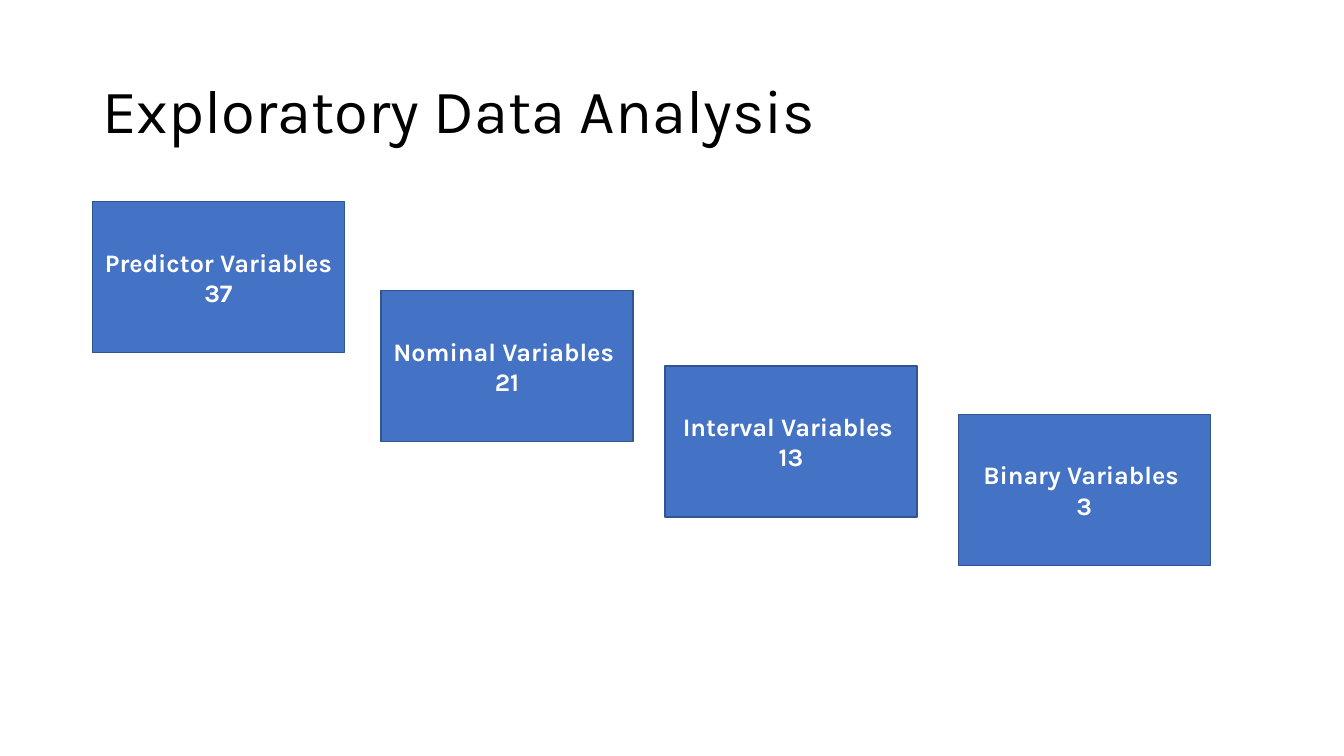
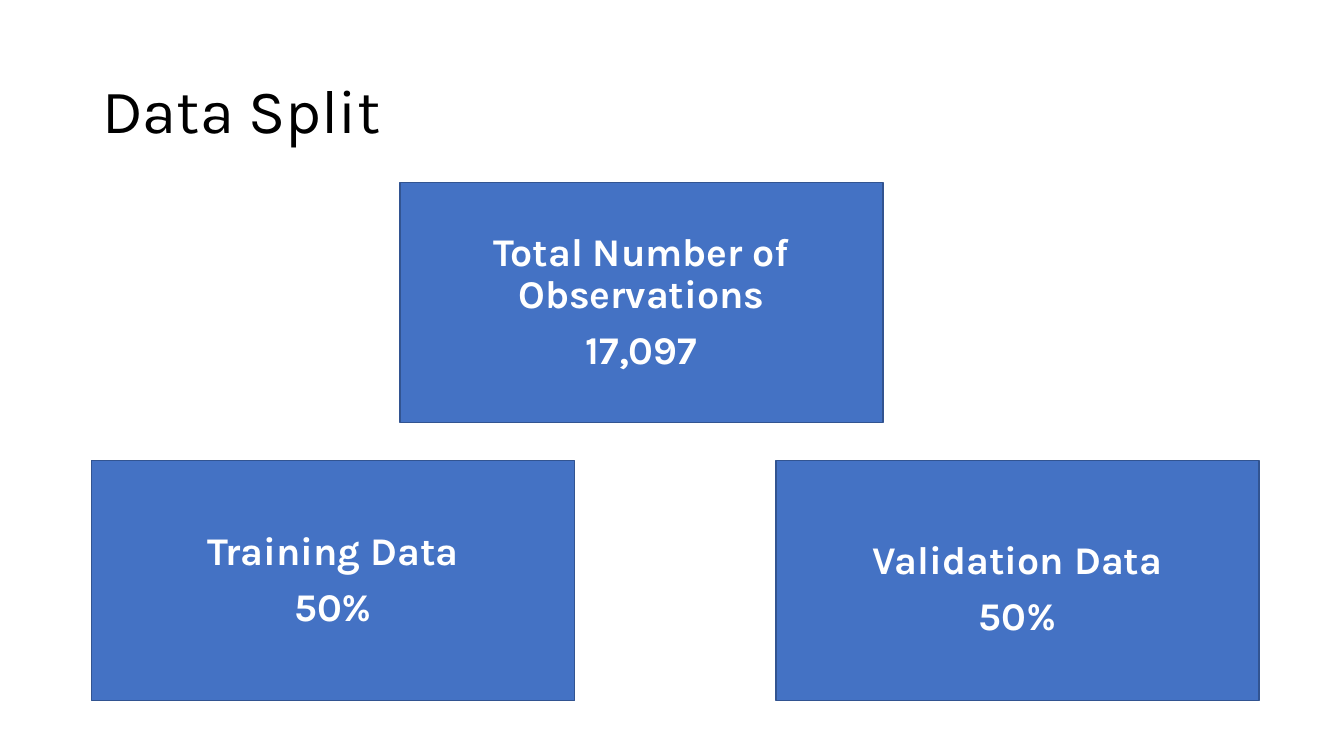
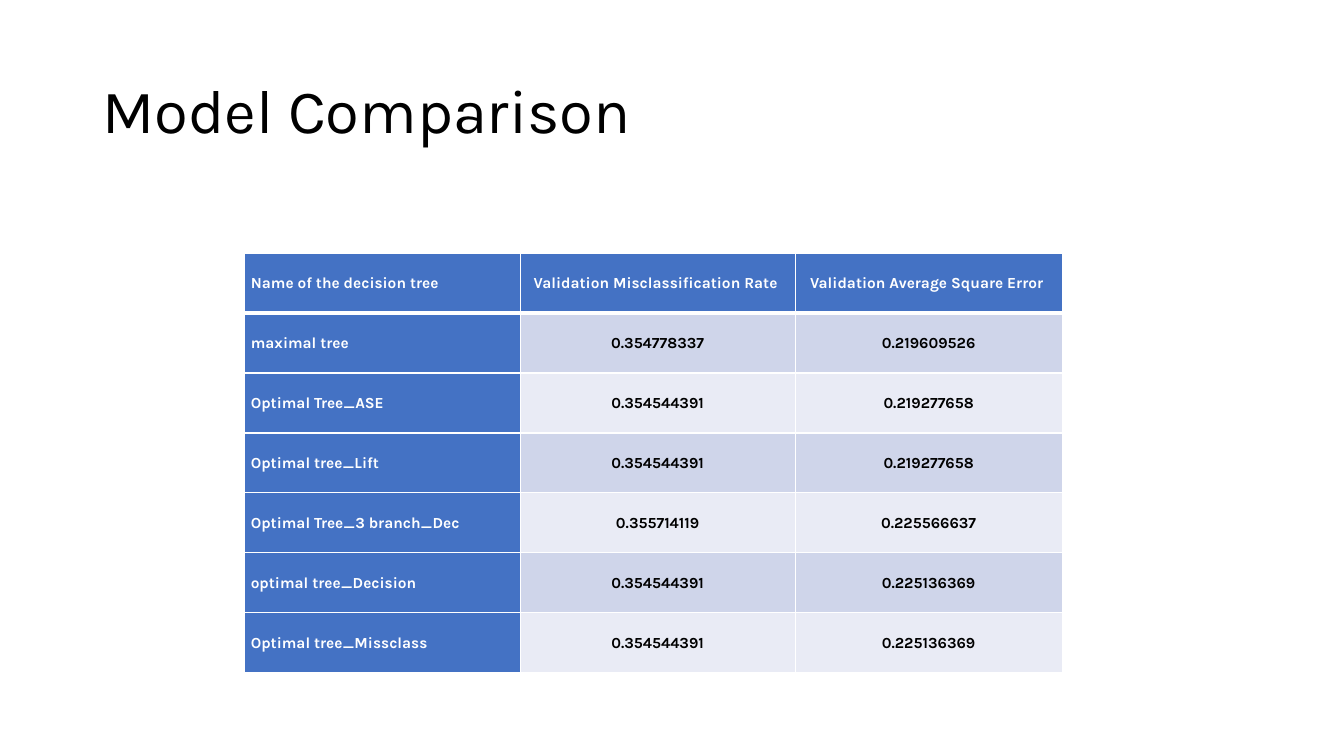
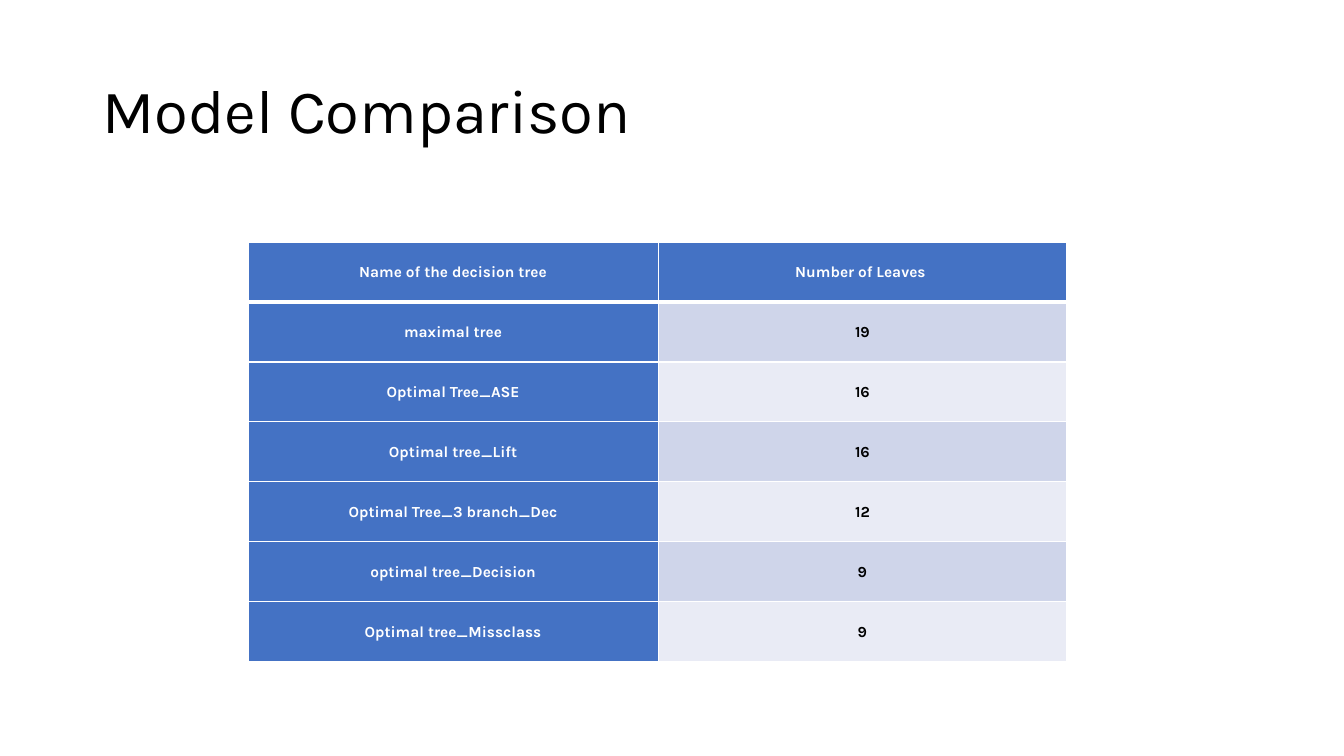
from dataclasses import dataclass

from lxml import etree
from pptx import Presentation
from pptx.dml.color import RGBColor
from pptx.enum.shapes import MSO_SHAPE
from pptx.enum.text import MSO_ANCHOR, PP_ALIGN
from pptx.oxml.ns import qn
from pptx.presentation import Presentation as Deck
from pptx.slide import Slide
from pptx.table import _Cell
from pptx.text.text import TextFrame
from pptx.util import Cm, Pt

RECTANGLE = MSO_SHAPE.RECTANGLE
MIDDLE = MSO_ANCHOR.MIDDLE
LEFT, CENTER = PP_ALIGN.LEFT, PP_ALIGN.CENTER

BLACK = RGBColor(0x00, 0x00, 0x00)
WHITE = RGBColor(0xFF, 0xFF, 0xFF)
BLUE = RGBColor(0x44, 0x72, 0xC4)
DARK_BLUE = RGBColor(0x32, 0x54, 0x91)
BAND_FILLS = (RGBColor(0xCF, 0xD5, 0xEA), RGBColor(0xE9, 0xEB, 0xF5))

FONT = "Karla"
BLANK_LAYOUT = 6
ROW_HEIGHT = 1.51
CELL_MARGIN = 0.17
THIN_BORDER, HEADER_BORDER = 1, 3


@dataclass(frozen=True)
class TextStyle:
    size: int
    color: RGBColor
    bold: bool = True
    alignment: PP_ALIGN = CENTER
    line_spacing: float = 1.0
    space_before: int = 0


@dataclass(frozen=True)
class BoxStyle:
    width: float
    height: float
    text: TextStyle


@dataclass(frozen=True)
class Box:
    """A labelled rectangle; positions are in centimetres."""
    left: float
    top: float
    label: str
    value: str
    top_margin: float = 0.13


@dataclass(frozen=True)
class ComparisonTable:
    """A table with a header row and a name column, in centimetres."""
    left: float
    top: float
    column_widths: tuple[float, ...]
    name_alignment: PP_ALIGN
    header: tuple[str, ...]
    values: tuple[tuple[str, ...], ...]


TITLE_STYLE = TextStyle(44, BLACK, bold=False, alignment=LEFT, line_spacing=0.9)
VARIABLE_STYLE = BoxStyle(6.35, 3.81, TextStyle(18, WHITE))
SPLIT_STYLE = BoxStyle(
    12.17, 6.05, TextStyle(28, WHITE, line_spacing=0.9, space_before=10))

VARIABLE_BOXES = (
    Box(2.33, 5.08, "Predictor Variables ", "37"),
    Box(9.6, 7.32, "Nominal Variables ", "21"),
    Box(16.76, 9.22, "Interval Variables ", "13"),
    Box(24.15, 10.44, "Binary Variables ", "3"),
)
SPLIT_BOXES = (
    Box(10.08, 4.6, "Total Number of Observations", "17,097"),
    Box(2.31, 11.61, "Training Data", "50%"),
    Box(19.56, 11.61, "Validation Data", "50%", top_margin=0.58),
)

TREE_NAMES = (
    "maximal tree",
    "Optimal Tree_ASE",
    "Optimal tree_Lift",
    "Optimal Tree_3 branch_Dec",
    "optimal tree_Decision",
    "Optimal tree_Missclass",
)
ERROR_TABLE = ComparisonTable(
    6.15, 6.38, (6.96, 6.93, 6.73), LEFT,
    ("Name of the decision tree", "Validation Misclassification Rate ",
     "Validation Average Square Error "),
    (
        ("0.354778337", "0.219609526"),
        ("0.354544391", "0.219277658"),
        ("0.354544391", "0.219277658"),
        ("0.355714119", "0.225566637"),
        ("0.354544391", "0.225136369"),
        ("0.354544391", "0.225136369"),
    ),
)
LEAVES_TABLE = ComparisonTable(
    6.25, 6.1, (10.34, 10.29), CENTER,
    ("Name of the decision tree", "Number of Leaves "),
    (("19",), ("16",), ("16",), ("12",), ("9",), ("9",)),
)


def write_lines(text_frame: TextFrame, lines: tuple[str, ...], style: TextStyle) -> None:
    """Write each line as one paragraph with a single run."""
    text_frame.word_wrap = True
    for index, line in enumerate(lines):
        paragraph = text_frame.add_paragraph() if index else text_frame.paragraphs[0]
        paragraph.alignment = style.alignment
        paragraph.line_spacing = style.line_spacing
        paragraph.space_before = Pt(style.space_before)
        run = paragraph.add_run()
        run.text = line
        run.font.name = FONT
        run.font.size = Pt(style.size)
        run.font.bold = style.bold
        run.font.color.rgb = style.color


def add_titled_slide(presentation: Deck, title: str) -> Slide:
    slide = presentation.slides.add_slide(presentation.slide_layouts[BLANK_LAYOUT])
    title_box = slide.shapes.add_textbox(Cm(2.33), Cm(1.01), Cm(29.21), Cm(3.68))
    title_box.text_frame.vertical_anchor = MIDDLE
    write_lines(title_box.text_frame, (title,), TITLE_STYLE)
    return slide


def add_boxes(slide: Slide, boxes: tuple[Box, ...], style: BoxStyle) -> None:
    for box in boxes:
        shape = slide.shapes.add_shape(
            RECTANGLE, Cm(box.left), Cm(box.top), Cm(style.width), Cm(style.height))
        shape.shadow.inherit = False
        shape.fill.solid()
        shape.fill.fore_color.rgb = BLUE
        shape.line.color.rgb = DARK_BLUE
        shape.line.width = Pt(1)
        shape.text_frame.vertical_anchor = MIDDLE
        shape.text_frame.margin_top = Cm(box.top_margin)
        write_lines(shape.text_frame, (box.label, box.value), style.text)


def set_borders(cell: _Cell, top: int, bottom: int) -> None:
    """Give the cell white borders; widths are in points."""
    properties = cell._tc.get_or_add_tcPr()
    widths = {"a:lnL": THIN_BORDER, "a:lnR": THIN_BORDER, "a:lnT": top, "a:lnB": bottom}
    for tag, width in widths.items():
        line = etree.SubElement(properties, qn(tag), w=str(Pt(width)))
        fill = etree.SubElement(line, qn("a:solidFill"))
        etree.SubElement(fill, qn("a:srgbClr"), val=str(WHITE))


def add_comparison_table(slide: Slide, content: ComparisonTable) -> None:
    rows = [content.header]
    rows += [(name, *values) for name, values in zip(TREE_NAMES, content.values)]
    table = slide.shapes.add_table(
        len(rows), len(content.header), Cm(content.left), Cm(content.top),
        Cm(sum(content.column_widths)), Cm(ROW_HEIGHT * len(rows))).table
    for column, width in zip(table.columns, content.column_widths):
        column.width = Cm(width)
    for row_index, row in enumerate(rows):
        for column_index, text in enumerate(row):
            is_heading = row_index == 0 or column_index == 0
            cell = table.cell(row_index, column_index)
            set_borders(
                cell,
                top=HEADER_BORDER if row_index == 1 else THIN_BORDER,
                bottom=HEADER_BORDER if row_index == 0 else THIN_BORDER)
            cell.fill.solid()
            cell.fill.fore_color.rgb = (
                BLUE if is_heading else BAND_FILLS[(row_index - 1) % 2])
            cell.vertical_anchor = MIDDLE
            cell.margin_left = cell.margin_right = Cm(CELL_MARGIN)
            cell.margin_top = cell.margin_bottom = Cm(0)
            write_lines(cell.text_frame, (text,), TextStyle(
                11, WHITE if is_heading else BLACK, line_spacing=1.07,
                alignment=CENTER if column_index else content.name_alignment))


def main() -> None:
    presentation = Presentation()
    presentation.slide_width = Cm(33.87)
    presentation.slide_height = Cm(19.05)

    add_boxes(add_titled_slide(presentation, "Exploratory Data Analysis"),
              VARIABLE_BOXES, VARIABLE_STYLE)
    add_boxes(add_titled_slide(presentation, "Data Split"), SPLIT_BOXES, SPLIT_STYLE)
    for content in (ERROR_TABLE, LEAVES_TABLE):
        add_comparison_table(add_titled_slide(presentation, "Model Comparison"), content)

    presentation.save("out.pptx")


if __name__ == "__main__":
    main()
